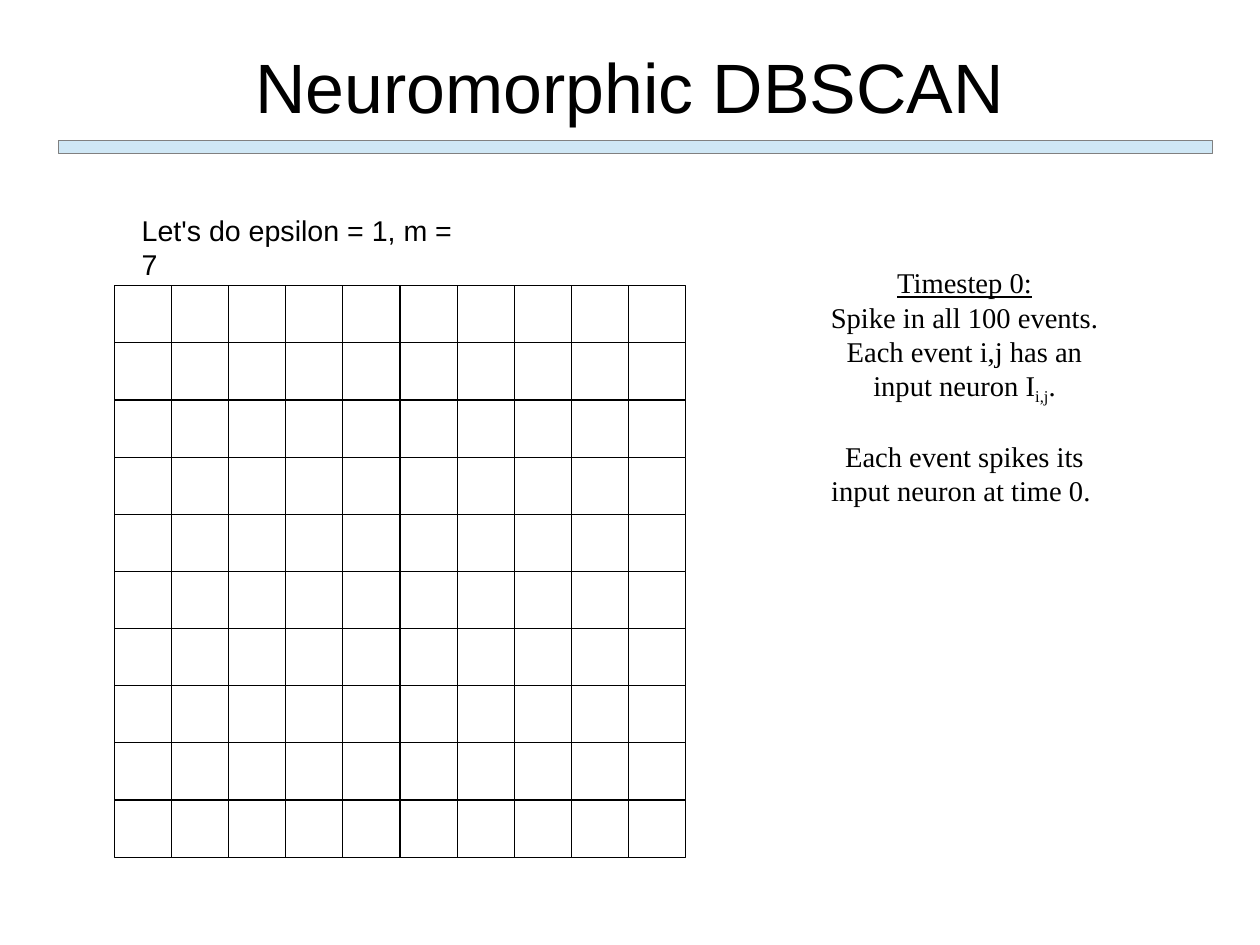
"""Build the Neuromorphic DBSCAN slide with its empty event grid."""
from itertools import product

from pptx import Presentation
from pptx.dml.color import RGBColor
from pptx.enum.shapes import MSO_SHAPE
from pptx.enum.text import MSO_ANCHOR, PP_ALIGN
from pptx.util import Cm, Pt

BLACK = RGBColor(0x00, 0x00, 0x00)
WHITE = RGBColor(0xFF, 0xFF, 0xFF)
GRAY = RGBColor(0x80, 0x80, 0x80)
PALE_BLUE = RGBColor(0xCF, 0xE7, 0xF5)

GRID_SIZE = 10
CELL = 1.27
GRID_LEFT, GRID_TOP = 2.54, 6.35


def add_rectangle(left, top, width, height, fill, line):
    shape = slide.shapes.add_shape(
        MSO_SHAPE.RECTANGLE, Cm(left), Cm(top), Cm(width), Cm(height))
    shape.shadow.inherit = False
    shape.fill.solid()
    shape.fill.fore_color.rgb = fill
    shape.line.color.rgb = line
    shape.line.width = Pt(0)


def style_paragraph(paragraph, font_name, size, alignment):
    paragraph.alignment = alignment
    paragraph.font.name = font_name
    paragraph.font.size = Pt(size)
    paragraph.font.color.rgb = BLACK


presentation = Presentation()
presentation.slide_width = Cm(28)
presentation.slide_height = Cm(21)
slide = presentation.slides.add_slide(presentation.slide_layouts[6])

title = slide.shapes.add_textbox(Cm(1.4), Cm(1.04), Cm(25.2), Cm(1.73)).text_frame
title.word_wrap = True
title.vertical_anchor = MSO_ANCHOR.MIDDLE
title.margin_left = title.margin_right = title.margin_top = title.margin_bottom = 0
title.text = "Neuromorphic DBSCAN"
style_paragraph(title.paragraphs[0], "Arial", 44, PP_ALIGN.CENTER)

for column, row in product(range(GRID_SIZE), repeat=2):
    add_rectangle(GRID_LEFT + column * CELL, GRID_TOP + row * CELL,
                  CELL, CELL, WHITE, BLACK)

parameters = slide.shapes.add_textbox(Cm(2.9), Cm(4.6), Cm(7.92), Cm(0.97)).text_frame
parameters.word_wrap = False
parameters.text = "Let's do epsilon = 1, m = 7"
style_paragraph(parameters.paragraphs[0], "Arial", 18, PP_ALIGN.LEFT)

add_rectangle(1.3, 3.12, 25.65, 0.3, PALE_BLUE, GRAY)

timestep = slide.shapes.add_textbox(Cm(17.22), Cm(5.77), Cm(8.43), Cm(9.8)).text_frame
timestep.word_wrap = True
timestep.text = "\n".join([
    "Timestep 0:",
    "Spike in all 100 events.",
    "Each event i,j has an",
    "input neuron I",
    "Each event spikes its",
    "input neuron at time 0. ",
])
heading, _, _, neuron, spikes, _ = timestep.paragraphs
for paragraph in timestep.paragraphs:
    style_paragraph(paragraph, "Times New Roman", 18, PP_ALIGN.CENTER)
heading.font.underline = True
spikes.space_before = Pt(21)

subscript = neuron.add_run()
subscript.text = "i,j"
subscript.font._element.set("baseline", "-20000")
neuron.add_run().text = "."

presentation.save("out.pptx")
